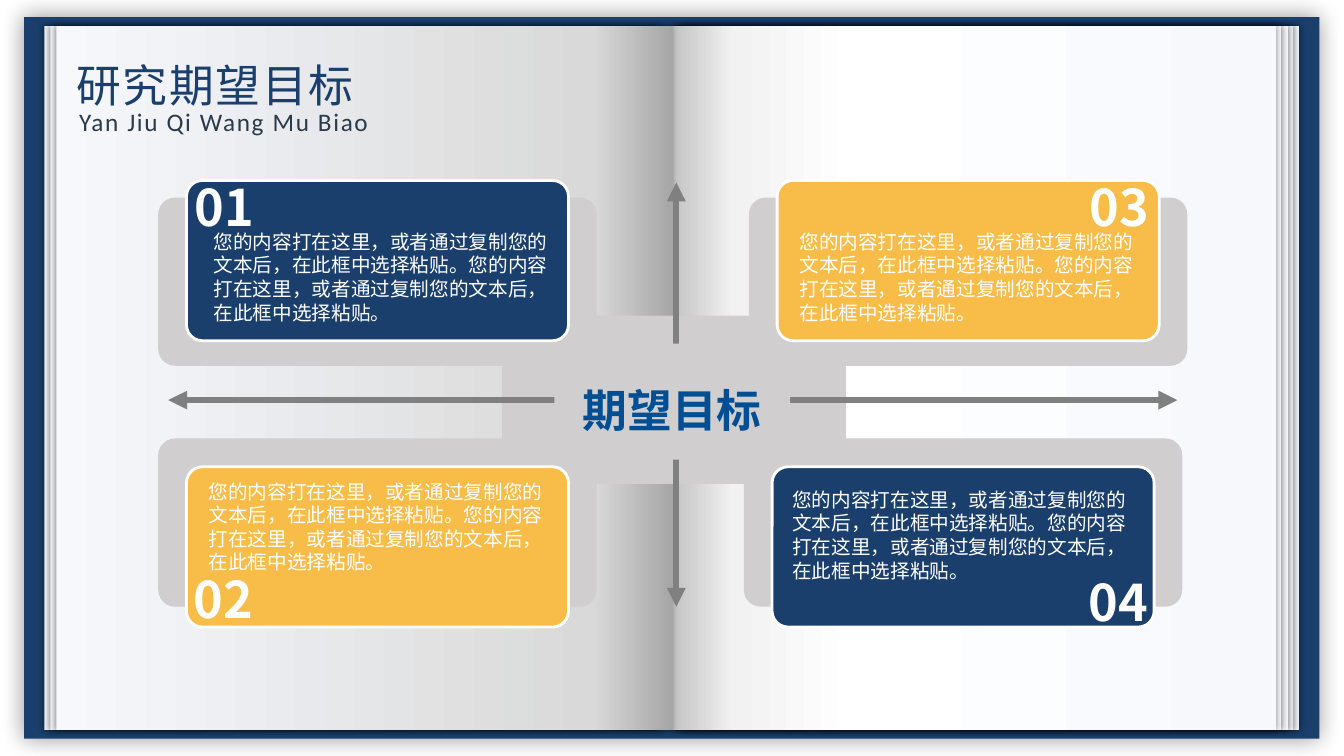
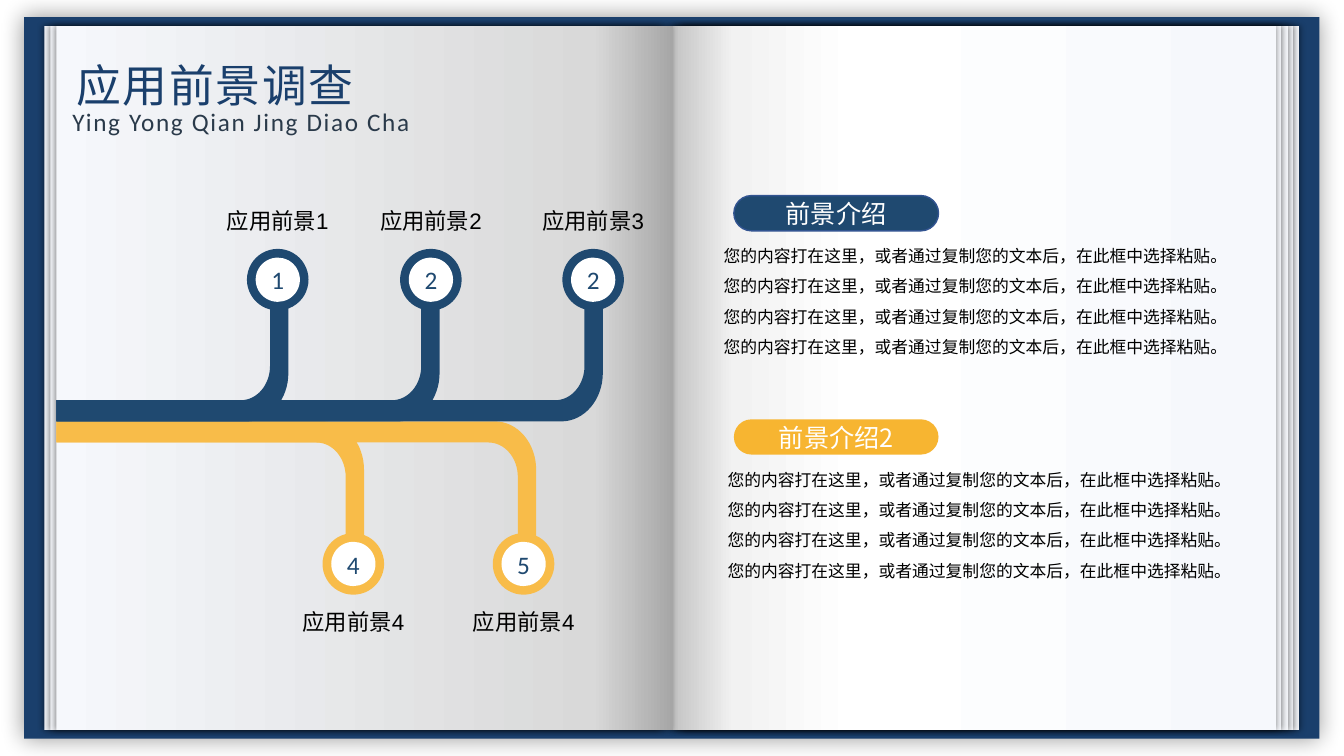
"""Two slides on an open book: research goals and application outlook."""
from dataclasses import dataclass
from math import cos, pi, sin

from lxml import etree
from pptx import Presentation
from pptx.dml.color import RGBColor
from pptx.enum.shapes import MSO_CONNECTOR, MSO_SHAPE
from pptx.enum.text import MSO_ANCHOR, PP_ALIGN
from pptx.oxml.ns import qn
from pptx.util import Pt

RECT, ROUND, OVAL = MSO_SHAPE.RECTANGLE, MSO_SHAPE.ROUNDED_RECTANGLE, MSO_SHAPE.OVAL
STRAIGHT = MSO_CONNECTOR.STRAIGHT
LEFT, MID, JUST = PP_ALIGN.LEFT, PP_ALIGN.CENTER, PP_ALIGN.JUSTIFY
TOP, CENTRE = MSO_ANCHOR.TOP, MSO_ANCHOR.MIDDLE


@dataclass(frozen=True)
class Theme:
    """Colours, fonts and type sizes."""
    navy: str = "1A3F6C"
    gold: str = "F8BC49"
    amber: str = "F7B531"
    steel: str = "1F4970"
    rim: str = "325491"
    royal: str = "004E94"
    slate: str = "2A3A4A"
    stone: str = "D0CECE"
    grey: str = "808080"
    white: str = "FFFFFF"
    black: str = "000000"
    dim: tuple = ((0, "F6F8FC"), (87, "D9D9D9"), (100, "A6A6A6"))
    pale: tuple = ((0, "F6F8FC"), (62, "FFFFFF"), (89, "F2F2F2"), (100, "D9D9D9"))
    light: tuple = ((0, "F6F8FC"), (69, "FFFFFF"), (89, "F2F2F2"), (100, "BFBFBF"))
    hans: str = "Noto Sans CJK SC"
    latin: str = "Calibri"
    plain: str = "Arial"
    giant: int = 36
    head: int = 32
    sub: int = 18
    label: int = 16
    card: int = 14
    body: int = 12


T = Theme()
LINE = "您的内容打在这里，或者通过复制您的文本后，在此框中选择粘贴。"
SEAM = 301
TRUNK = 15.1
STEM = 13.1


def pts(*values):
    """Turn numbers into point lengths."""
    return [Pt(v) for v in values]


def node(parent, tag, **attrs):
    """Add a drawing element to a parent."""
    return etree.SubElement(parent, qn(tag), {k: str(v) for k, v in attrs.items()})


def write(shape, text, size=T.body, color=T.black, font=T.hans, bold=False,
          align=LEFT, anchor=TOP, lead=None, track=0, inset=None):
    """Fill a shape with formatted text, one paragraph per line."""
    frame = shape.text_frame
    frame.word_wrap = True
    frame.vertical_anchor = anchor
    if inset is not None:
        frame.margin_left = frame.margin_right = Pt(inset)
        frame.margin_top = frame.margin_bottom = Pt(inset)
    for i, part in enumerate(text.split("\n")):
        para = frame.add_paragraph() if i else frame.paragraphs[0]
        para.alignment = align
        if lead:
            para.line_spacing = lead
        run = para.add_run()
        run.text = part
        run.font.size = Pt(size)
        run.font.bold = bold
        run.font.color.rgb = RGBColor.from_string(color)
        run.font.name = font
        props = run.font._element
        node(props, "a:ea", typeface=T.hans)
        if track:
            props.set("spc", str(round(track * 100)))


def paint(shape, fill, line=None, width=1):
    """Set a flat fill and an optional outline."""
    shape.shadow.inherit = False
    shape.fill.solid()
    shape.fill.fore_color.rgb = RGBColor.from_string(fill)
    if line:
        shape.line.color.rgb = RGBColor.from_string(line)
        shape.line.width = Pt(width)
    else:
        shape.line.fill.background()
    return shape


def form(slide, kind, box, fill, line=None, width=1, curve=None):
    """Add a filled preset shape."""
    shape = slide.shapes.add_shape(kind, *pts(*box))
    if curve is not None:
        shape.adjustments[0] = curve
    return paint(shape, fill, line, width)


def note(slide, box, text, **style):
    """Add a text box."""
    write(slide.shapes.add_textbox(*pts(*box)), text, **style)


def shade(shape, blur, shift=0, turn=0):
    """Give a shape a soft black shadow."""
    glow = shape._element.spPr.find(qn("a:effectLst"))
    drop = node(glow, "a:outerShdw", blurRad=Pt(blur), dist=Pt(shift),
                dir=turn * 60000, algn="ctr", rotWithShape=0)
    node(node(drop, "a:srgbClr", val=T.black), "a:alpha", val=40000)


def page(slide, x, width, stops, right):
    """Add a sheet that darkens toward the spine."""
    sheet = form(slide, RECT, (x, 18.7, width, 502.6), T.white)
    sheet.fill.gradient()
    sheet.fill.gradient_angle = 0
    ramp = sheet._element.spPr.find(".//" + qn("a:gsLst"))
    for stop in list(ramp):
        ramp.remove(stop)
    if right:
        stops = [(100 - spot, tone) for spot, tone in reversed(stops)]
    for spot, tone in stops:
        node(node(ramp, "a:gs", pos=spot * 1000), "a:srgbClr", val=tone)
    shade(sheet, 4, 1, 0 if right else 180)


def book(slide, layout):
    """Draw the open book and move it to the layout."""
    shade(form(slide, RECT, (17.3, 12.2, 925.2, 515.5), T.navy), 16)
    for x, width, stops, right in (
            (487.4, 440.6, T.dim, True), (483.1, 440.6, T.dim, True),
            (479.5, 440.6, T.pale, True), (480.2, 434.9, T.light, True),
            (31.7, 440.6, T.dim, False), (36, 440.6, T.dim, False),
            (476.6, 434.9, T.light, True), (40.3, 440.6, T.dim, False)):
        page(slide, x, width, stops, right)
    for shape in list(slide.shapes):
        layout.shapes.element.append(shape._element)


def title(slide, text, sub, width, align):
    """Add the heading and its spelled-out reading."""
    note(slide, (47.5, 37.4, 260, 46), text, size=T.head, color=T.navy,
         align=JUST, track=1.2)
    note(slide, (44.6, 72.7, width, 28.8), sub, size=T.sub, color=T.slate,
         font=T.latin, align=align, track=1.2)


def arrow(slide, *ends):
    """Add a line with a head at both ends."""
    link = slide.shapes.add_connector(STRAIGHT, *pts(*ends))
    link.line.color.rgb = RGBColor.from_string(T.grey)
    link.line.width = Pt(4.5)
    stroke = link.line._get_or_add_ln()
    for end in ("a:headEnd", "a:tailEnd"):
        node(stroke, end, type="triangle")
    node(link._element.spPr, "a:effectLst")


def card(slide, x, y, fill, mark, spot, text):
    """Add a numbered card with its copy."""
    form(slide, ROUND, (x, y, 272.9, 114.5), fill, T.white, 2, 0.1)
    note(slide, (*spot, 78.5, 32.4), mark, size=T.giant, color=T.white, bold=True,
         align=MID, anchor=CENTRE, lead=0.8, inset=0)
    note(slide, (*text, 245, 67.7), LINE * 2, size=T.card, color=T.white, inset=0)


def goals(slide):
    """Build the slide of four goals around a hub."""
    title(slide, "研究期望目标", "Yan Jiu Qi Wang Mu Biao", 230.4, MID)
    cards = (
        (133.2, 128.9, T.navy, "01", (121, 135.4), (152.6, 164.2)),
        (555.1, 128.9, T.gold, "03", (760.3, 135.4), (571, 164.2)),
        (133.2, 333.4, T.gold, "02", (120.2, 415.4), (149, 342.7)),
        (551.5, 333.4, T.navy, "04", (759.6, 417.6), (565.9, 348.5)))
    form(slide, ROUND, (358.6, 225.4, 245.5, 120.2), T.stone, curve=0.1)
    for x, y, *_ in cards:
        drop = 12.2 if y < 270 else -20.2
        form(slide, ROUND, (x - 20.2, y + drop, 313.2, 120.2), T.stone, curve=0.1)
    arrow(slide, 120.2, 285.8, 841, 285.8)
    arrow(slide, 483.1, 130.3, 483.1, 433.4)
    hub = form(slide, ROUND, (396, 245.5, 168.5, 82.8), T.stone, curve=0.1)
    write(hub, "期望目标", size=T.head, color=T.royal, bold=True, align=MID,
          anchor=CENTRE, lead=1.3)
    for item in cards:
        card(slide, *item)


def bend(x, y, wide, tall):
    """List the points of a quarter turn from stem to trunk."""
    turns = [pi / 2 * i / 16 for i in range(17)]
    return [(x - wide + wide * cos(a), y - tall + tall * sin(a)) for a in turns]


def pipe(slide, edge, side, fill):
    """Add a trunk that bends into a stem; side is -1 for up, 1 for down."""
    inner = SEAM + side * TRUNK
    tip = SEAM + side * 94.5
    dots = [(edge, tip), *bend(edge, SEAM, 29.5, -side * 34.6),
            (40.3, SEAM), (40.3, inner),
            *reversed(bend(edge - STEM, inner, 20.9, -side * 24.5)),
            (edge - STEM, tip)]
    (x, y), *rest = [pts(*dot) for dot in dots]
    path = slide.shapes.build_freeform(x, y)
    path.add_line_segments(rest, close=True)
    paint(path.convert_to_shape(), fill)


def ring(slide, x, y, mark, fill):
    """Add a numbered ring around a centre."""
    for size, tone in ((44, fill), (31.6, T.white)):
        disc = form(slide, OVAL, (x - size / 2, y - size / 2, size, size), tone)
    write(disc, mark, size=T.sub, color=T.steel, font=T.latin, align=MID,
          anchor=CENTRE, inset=0)


def pill(slide, y, text, fill, line=None):
    """Add a rounded heading."""
    shape = form(slide, ROUND, (524.2, y, 146.2, 25.2), fill, line, curve=0.5)
    write(shape, text, size=T.sub, color=T.white, align=MID, anchor=CENTRE, inset=0)


def outlook(slide):
    """Build the slide of five branches and two notes."""
    title(slide, "应用前景调查", "Ying Yong Qian Jing Diao Cha", 270, LEFT)
    note(slide, (509.8, 164.9, 364.3, 113.8), "\n".join([LINE * 2] * 2), lead=1.5)
    pill(slide, 139.7, "前景介绍", T.steel, T.rim)
    pill(slide, 299.5, "前景介绍2", T.amber)
    note(slide, (512.6, 324.7, 375.1, 113.8), LINE * 4, lead=1.5)
    stops = (
        (374, 383, 1, "5", "应用前景4"),
        (252.4, 260, 1, "4", "应用前景4"),
        (423.7, 430.6, -1, "2", "应用前景3"),
        (307.8, 314, -1, "2", "应用前景2"),
        (198.4, 206, -1, "1", "应用前景1"))
    for x, edge, side, mark, name in stops:
        fill = T.gold if side > 0 else T.steel
        pipe(slide, edge, side, fill)
        ring(slide, x, 402.8 if side > 0 else 199.8, mark, fill)
        note(slide, (x - 53.3, 430.6 if side > 0 else 144.7, 106.6, 26.6), name,
             size=T.label, font=T.plain, align=MID)


def main():
    """Build and save the slides."""
    deck = Presentation()
    deck.slide_width, deck.slide_height = pts(960, 540)
    blank = deck.slide_layouts[6]
    first, second = [deck.slides.add_slide(blank) for _ in range(2)]
    book(first, blank)
    goals(first)
    outlook(second)
    deck.save("out.pptx")


if __name__ == "__main__":
    main()
